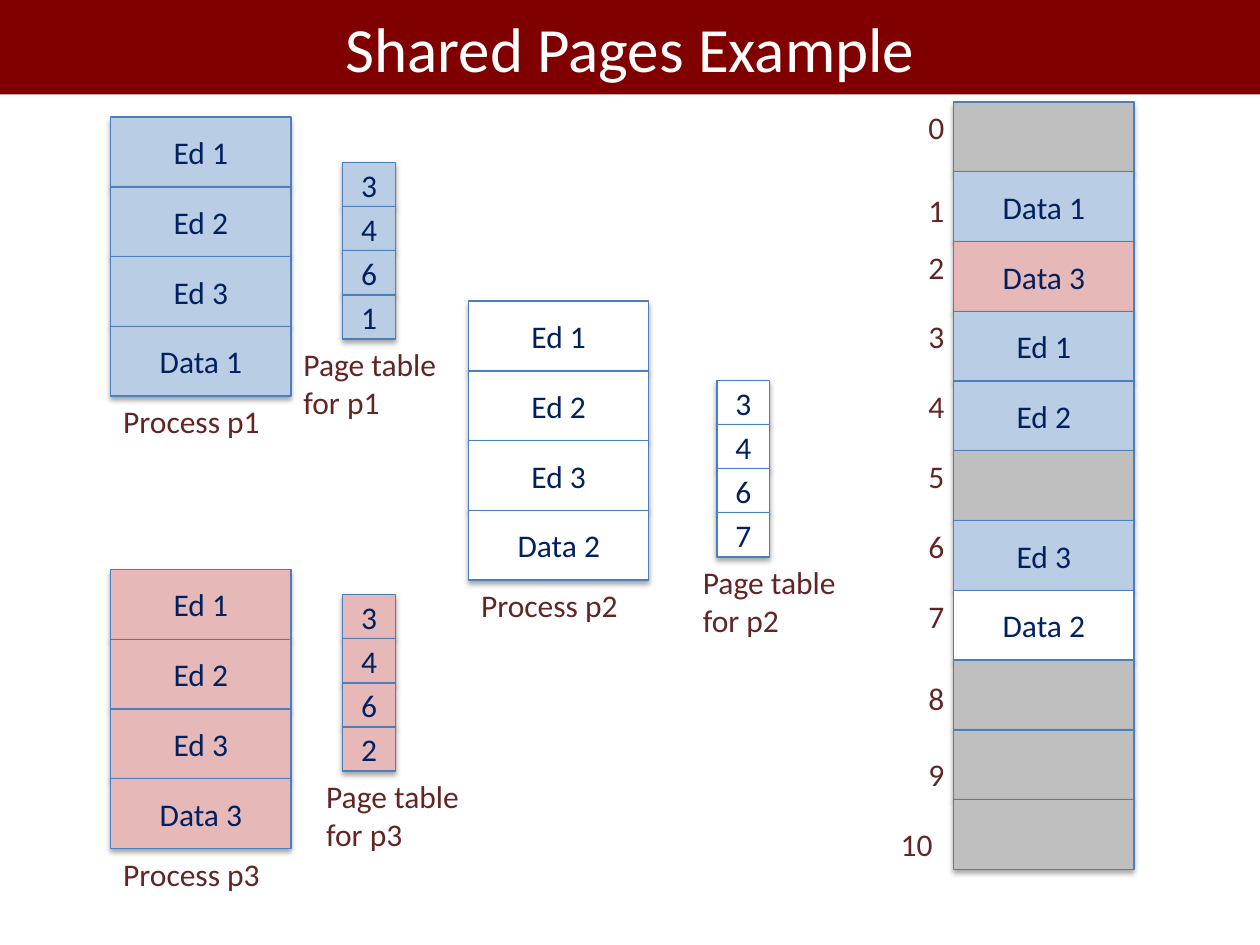
from lxml.etree import SubElement
from pptx import Presentation
from pptx.dml.color import RGBColor
from pptx.enum.shapes import MSO_SHAPE as Shape
from pptx.enum.text import MSO_ANCHOR as Anchor, PP_ALIGN as Align
from pptx.oxml.ns import qn
from pptx.util import Inches, Pt

# Content
TITLE = "Shared Pages Example"
BLUE, PINK, WHITE, GREY = "B9CDE5", "E6B9B8", "FFFFFF", "BFBFBF"
MAROON, BROWN, NAVY, LINE = "800000", "632523", "002060", "4B7EBC"

# Each process: fill, pages at (x, y), page table at (x, y), table label (x, width)
PROCESSES = [
    dict(name="p1", fill=BLUE, pages=["Ed 1", "Ed 2", "Ed 3", "Data 1"], at=(0.88, 0.93),
         table=["3", "4", "6", "1"], table_at=(2.72, 1.29), label=(2.31, 1.41)),
    dict(name="p2", fill=WHITE, pages=["Ed 1", "Ed 2", "Ed 3", "Data 2"], at=(3.72, 2.39),
         table=["3", "4", "6", "7"], table_at=(5.69, 3.02), label=(5.48, 1.58)),
    dict(name="p3", fill=PINK, pages=["Ed 1", "Ed 2", "Ed 3", "Data 3"], at=(0.88, 4.52),
         table=["3", "4", "6", "2"], table_at=(2.72, 4.72), label=(2.49, 1.49)),
]

# Memory frames: text, fill, drop of the frame number below the frame's top
FRAMES = [
    ("", GREY, 0), ("Data 1", BLUE, 0.1), ("Data 3", PINK, 0), ("Ed 1", BLUE, 0),
    ("Ed 2", BLUE, 0), ("", GREY, 0), ("Ed 3", BLUE, 0), ("Data 2", WHITE, 0),
    ("", GREY, 0.1), ("", GREY, 0.15), ("", GREY, 0.15),
]

# Grid, in inches
MEMORY_X, MEMORY_Y, MEMORY_H = 7.57, 0.81, 6.09
PAGE_W, PAGE_H = 1.43, MEMORY_H / len(FRAMES)
ENTRY_W, ENTRY_H = 0.42, 0.35
LABEL_H = 0.4


def color(value):
    return RGBColor.from_string(value)


def write(sp, text, ink, size=18, align=Align.LEFT, anchor=Anchor.TOP):
    tf = sp.text_frame
    tf.word_wrap = True
    tf.vertical_anchor = anchor
    p = tf.paragraphs[0]
    p.text = text
    p.alignment = align
    p.font.name = "Calibri"
    p.font.size = Pt(size)
    p.font.color.rgb = color(ink)


def add_label(text, x, y, w, h=LABEL_H):
    write(s.shapes.add_textbox(*map(Inches, (x, y, w, h))), text, BROWN)


def add_shadow(sp):
    sp.shadow.inherit = False
    effects = sp._element.spPr.find(qn("a:effectLst"))
    shadow = SubElement(effects, qn("a:outerShdw"), blurRad=str(Pt(3.1)),
                        dist=str(Pt(1.8)), dir="5400000", rotWithShape="0")
    ink = SubElement(shadow, qn("a:srgbClr"), val="000000")
    SubElement(ink, qn("a:alpha"), val="35000")


def add_stack(cells, x, y, w, h):
    """Stack (text, fill) cells downwards from (x, y)."""
    for row, (text, fill) in enumerate(cells):
        sp = s.shapes.add_shape(Shape.RECTANGLE, *map(Inches, (x, y + row * h, w, h)))
        sp.fill.solid()
        sp.fill.fore_color.rgb = color(fill)
        sp.line.color.rgb = color(LINE)
        sp.line.width = Pt(0.75)
        add_shadow(sp)
        if text:
            write(sp, text, NAVY, align=Align.CENTER, anchor=Anchor.MIDDLE)


prs = Presentation()
prs.slide_width, prs.slide_height = Inches(10), Inches(7.5)
s = prs.slides.add_slide(prs.slide_layouts[5])

# Title band
title = s.shapes.title
title.left, title.top, title.width, title.height = 0, 0, prs.slide_width, Inches(0.75)
title.fill.solid()
title.fill.fore_color.rgb = color(MAROON)
write(title, TITLE, WHITE, 36, Align.CENTER, Anchor.MIDDLE)

# Physical memory and its frame numbers
add_stack([(text, fill) for text, fill, _ in FRAMES], MEMORY_X, MEMORY_Y, PAGE_W, PAGE_H)
for number, (_, _, drop) in enumerate(FRAMES):
    x = MEMORY_X - (0.3 if number < 10 else 0.52)
    add_label(str(number), x, MEMORY_Y + number * PAGE_H + drop, 0.6)

# Processes with their page tables
for proc in PROCESSES:
    x, y = proc["at"]
    add_stack([(page, proc["fill"]) for page in proc["pages"]], x, y, PAGE_W, PAGE_H)
    add_label(f"Process {proc['name']}", x, y + len(proc["pages"]) * PAGE_H, PAGE_W)

    x, y = proc["table_at"]
    add_stack([(entry, proc["fill"]) for entry in proc["table"]], x, y, ENTRY_W, ENTRY_H)
    label_x, label_w = proc["label"]
    add_label(f"Page table for {proc['name']}", label_x,
              y + len(proc["table"]) * ENTRY_H, label_w, 0.71)

prs.save("out.pptx")
